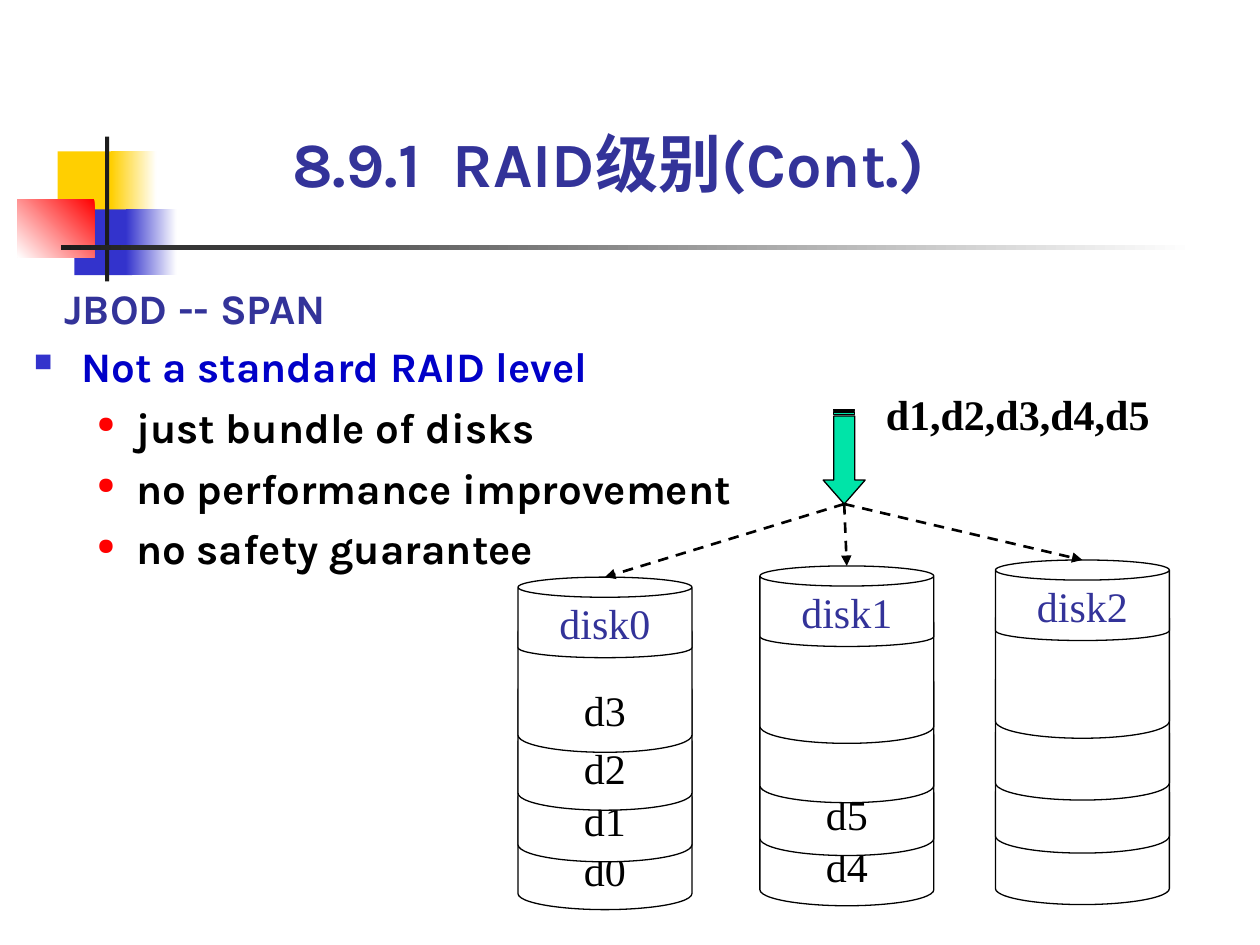
from dataclasses import dataclass

import pptx
import pptx.dml.color
import pptx.enum.dml
import pptx.enum.shapes
import pptx.enum.text
import pptx.oxml
import pptx.oxml.ns
import pptx.util
from lxml import etree

Pt = pptx.util.Pt
SHAPE = pptx.enum.shapes.MSO_SHAPE
ALIGN = pptx.enum.text.PP_ALIGN
ANCHOR = pptx.enum.text.MSO_ANCHOR


@dataclass(frozen=True)
class Theme:
    heading: str = "333399"
    highlight: str = "0000C8"
    text: str = "000000"
    paper: str = "FFFFFF"
    yellow: str = "FFCF01"
    blue: str = "3333CC"
    red: str = "FF0000"
    rule: str = "1C1C1C"
    arrow: str = "00E4A8"
    sans: str = "Karla"
    serif: str = "Times New Roman"
    title_size: int = 36
    body_size: int = 24


THEME = Theme()

# Decoration: left, top, width, height, colour, gradient angle (None is solid)
ORNAMENTS = [
    (33, 86.5, 35, 37.5, THEME.yellow, None),
    (63.5, 86.5, 26, 37.5, THEME.yellow, 0),
    (42.5, 119.7, 33, 37.5, THEME.blue, None),
    (72, 119.7, 29, 37.5, THEME.blue, 0),
    (10, 113.8, 44, 33.2, THEME.red, 225),
    (60, 78, 2.4, 82.8, THEME.rule, None),
    (34.8, 140.2, 648, 2.5, THEME.rule, 0),
]

DISK_WIDTH = 99.4
CAP_HEIGHT = 46
BLOCK_HEIGHT = 78.5
BOTTOM_HEIGHT = 73.4
LABEL_DROP = 27.6  # pushes a block label below the block above it

# Disk: name, left, top of the cap, blocks from the bottom up as (top, label)
DISKS = [
    ("disk0", 296, 329.8, [(446.4, "d0"), (414, "d1"), (384.5, "d2"), (351.4, "d3")]),
    ("disk1", 434.2, 323.4, [(444.2, "d4"), (410.4, "d5"), (380.2, ""), (346.3, "")]),
    ("disk2", 568.8, 320, [(443.5, ""), (409, ""), (378.7, ""), (343.4, "")]),
]
SPLIT_POINT = (482.4, 288)


def rgb(value):
    return pptx.dml.color.RGBColor.from_string(value)


def add_bullet(paragraph, character, color, percent, margin, indent):
    properties = paragraph._p.get_or_add_pPr()
    properties.set("marL", str(Pt(margin)))
    properties.set("indent", str(Pt(-indent)))
    namespace = pptx.oxml.ns.nsdecls("a")
    for markup in (
        f'<a:buClr {namespace}><a:srgbClr val="{color}"/></a:buClr>',
        f'<a:buSzPct {namespace} val="{percent * 1000}"/>',
        f'<a:buChar {namespace} char="{character}"/>',
    ):
        properties.append(pptx.oxml.parse_xml(markup))


def write_text(paragraph, text, *, color=THEME.text, font=THEME.sans, size=THEME.body_size,
               bold=False, align=ALIGN.LEFT, line_spacing=None, space_before=0):
    paragraph.alignment = align
    paragraph.space_before = Pt(space_before)
    if line_spacing:
        paragraph.line_spacing = line_spacing
    run = paragraph.add_run()
    run.text = text
    run.font.name = font
    run.font.size = Pt(size)
    run.font.bold = bold
    run.font.color.rgb = rgb(color)


def prepare_frame(shape, anchor, top_inset=0):
    frame = shape.text_frame
    frame.word_wrap = True
    frame.vertical_anchor = anchor
    frame.margin_left = frame.margin_right = frame.margin_bottom = 0
    frame.margin_top = Pt(top_inset)
    return frame


def add_text_box(slide, left, top, width, height, anchor=ANCHOR.TOP):
    box = slide.shapes.add_textbox(Pt(left), Pt(top), Pt(width), Pt(height))
    return prepare_frame(box, anchor)


def add_filled_shape(shapes, kind, left, top, width, height, fill, outlined=True):
    shape = shapes.add_shape(kind, Pt(left), Pt(top), Pt(width), Pt(height))
    shape.shadow.inherit = False
    shape.fill.solid()
    shape.fill.fore_color.rgb = rgb(fill)
    if outlined:
        shape.line.color.rgb = rgb(THEME.text)
        shape.line.width = Pt(0.75)
    else:
        shape.line.fill.background()
    return shape


def add_ornament(slide, left, top, width, height, color, angle):
    shape = add_filled_shape(slide.shapes, SHAPE.RECTANGLE, left, top, width, height,
                             color, outlined=False)
    if angle is not None:
        shape.fill.gradient()
        shape.fill.gradient_angle = angle
        for stop, stop_color in zip(shape.fill.gradient_stops, (color, THEME.paper)):
            stop.color.rgb = rgb(stop_color)


def add_cylinder(shapes, left, top, height, label, top_inset=0, **text_format):
    cylinder = add_filled_shape(shapes, SHAPE.CAN, left, top, DISK_WIDTH, height, THEME.paper)
    cylinder.adjustments[0] = 0.25
    if label:
        frame = prepare_frame(cylinder, ANCHOR.MIDDLE, top_inset)
        write_text(frame.paragraphs[0], label, font=THEME.serif, align=ALIGN.CENTER,
                   **text_format)


def add_disk(slide, name, left, cap_top, blocks):
    shapes = slide.shapes.add_group_shape().shapes
    for index, (top, label) in enumerate(blocks):
        height, spacing = (BLOCK_HEIGHT, 0.7) if index else (BOTTOM_HEIGHT, 0.6)
        add_cylinder(shapes, left, top, height, label, LABEL_DROP, line_spacing=spacing)
    add_cylinder(shapes, left, cap_top, CAP_HEIGHT, name, color=THEME.heading)


def add_dashed_arrow(slide, start, end):
    connector = slide.shapes.add_connector(
        pptx.enum.shapes.MSO_CONNECTOR.STRAIGHT, *(Pt(value) for value in (*start, *end)))
    connector.line.color.rgb = rgb(THEME.text)
    connector.line.width = Pt(1.5)
    connector.line.dash_style = pptx.enum.dml.MSO_LINE.DASH
    qualify = pptx.oxml.ns.qn
    etree.SubElement(connector.line._get_or_add_ln(), qualify("a:tailEnd"), type="triangle")
    etree.SubElement(connector._element.spPr, qualify("a:effectLst"))


def add_data_arrow(slide):
    arrow = add_filled_shape(slide.shapes, SHAPE.STRIPED_RIGHT_ARROW,
                             455.4, 249, 54, 24, THEME.arrow)
    arrow.rotation = 90
    arrow.adjustments[0] = 0.5
    arrow.adjustments[1] = 0.57


def add_body(slide):
    frame = add_text_box(slide, 19.4, 194.4, 437, 133)
    paragraph = frame.paragraphs[0]
    add_bullet(paragraph, "■", THEME.blue, 60, 27, 27)
    write_text(paragraph, "Not a standard RAID level", color=THEME.highlight, bold=True)
    for text in ("just bundle of disks", "no performance improvement", "no safety guarantee"):
        paragraph = frame.add_paragraph()
        paragraph.level = 1
        add_bullet(paragraph, "●", THEME.red, 55, 58.5, 22.5)
        write_text(paragraph, text, bold=True, space_before=6)


def main():
    presentation = pptx.Presentation()
    presentation.slide_width, presentation.slide_height = Pt(720), Pt(540)
    slide = presentation.slides.add_slide(presentation.slide_layouts[6])

    for ornament in ORNAMENTS:
        add_ornament(slide, *ornament)

    subtitle = add_text_box(slide, 36.7, 161.3, 176, 28.8, ANCHOR.BOTTOM)
    write_text(subtitle.paragraphs[0], "JBOD -- SPAN", color=THEME.heading, bold=True)
    add_body(slide)

    for disk in DISKS:
        add_disk(slide, *disk)
    add_data_arrow(slide)
    for _, left, cap_top, _ in DISKS:
        add_dashed_arrow(slide, SPLIT_POINT, (left + DISK_WIDTH / 2, cap_top))

    data_label = add_text_box(slide, 506.2, 221.8, 166, 28.8)
    write_text(data_label.paragraphs[0], "d1,d2,d3,d4,d5", font=THEME.serif, bold=True)
    title = add_text_box(slide, 167, 71.3, 415.4, 43.2, ANCHOR.BOTTOM)
    write_text(title.paragraphs[0], "8.9.1  RAID级别(Cont.)", color=THEME.heading,
               size=THEME.title_size, bold=True)

    presentation.save("out.pptx")


if __name__ == "__main__":
    main()
